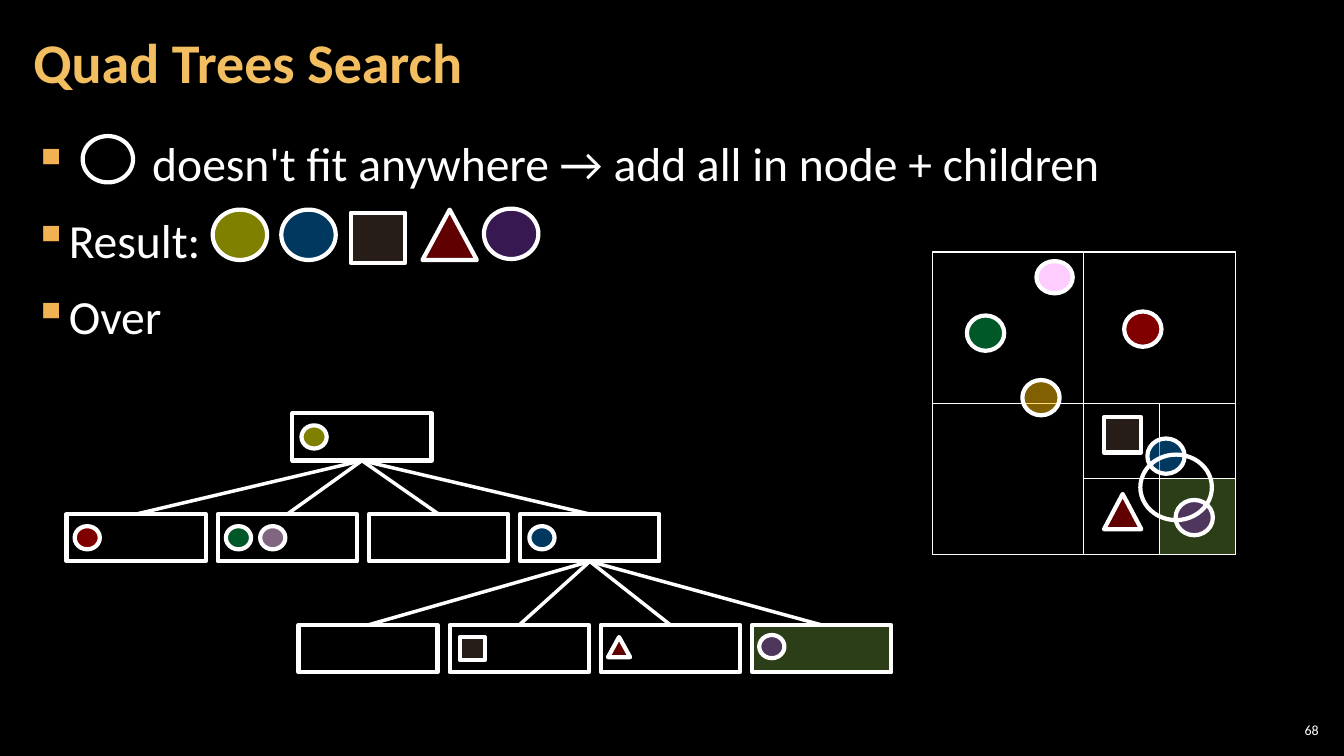
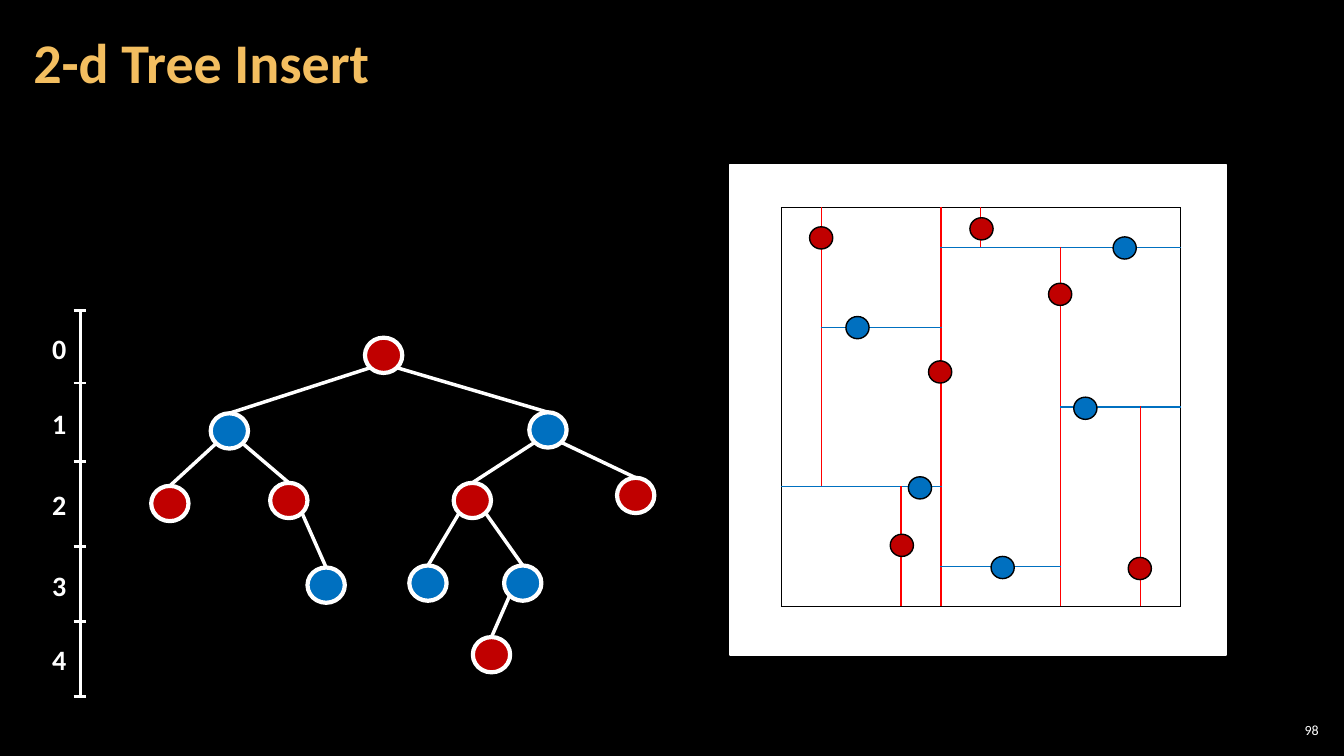
import lxml.etree
import pptx
import pptx.dml.color
import pptx.enum.shapes
import pptx.enum.text
import pptx.oxml.ns
import pptx.util

INK = {
    "black": "000000", "white": "FFFFFF", "title": "F3BE60", "mark": "F2B254",
    "red": "FF0000", "green": "00B050", "yellow": "FFFF00", "blue": "0070C0",
    "gold": "FFC000", "brown": "4E3B30", "wine": "C00000", "plum": "7030A0",
    "pink": "FFCCFF", "leaf": "92D050",
}
FONT = "Calibri"
Inches = pptx.util.Inches
Pt = pptx.util.Pt
KIND = pptx.enum.shapes.MSO_SHAPE
ALIGN = pptx.enum.text.PP_ALIGN
ANCHOR = pptx.enum.text.MSO_ANCHOR
qn = pptx.oxml.ns.qn


def rgb(name):
    return pptx.dml.color.RGBColor.from_string(INK[name])


def sub(node, tag, **attrs):
    return lxml.etree.SubElement(node, qn(tag), attrs)


def paint(fill, node, name, alpha=100):
    if name is None:
        fill.background()
        return
    fill.solid()
    fill.fore_color.rgb = rgb(name)
    if alpha < 100:
        tint = node.find(qn("a:solidFill")).find(qn("a:srgbClr"))
        sub(tint, "a:alpha", val=str(alpha * 1000))


def shape(slide, kind, box, fill=None, alpha=100, line="white", width=3):
    item = slide.shapes.add_shape(kind, *map(Inches, box))
    item.shadow.inherit = False
    paint(item.fill, item._element.spPr, fill, alpha)
    item.line.color.rgb = rgb(line)
    item.line.width = Pt(width)
    return item


def link(slide, start, end, width=2.5):
    item = slide.shapes.add_connector(
        pptx.enum.shapes.MSO_CONNECTOR.STRAIGHT, *map(Inches, start + end))
    item.line.color.rgb = rgb("white")
    item.line.width = Pt(width)
    sub(item._element.spPr, "a:effectLst")
    return item


def write(para, text, size, color="white", bold=False):
    run = para.add_run()
    run.text = text
    run.font.name = FONT
    run.font.size = Pt(size)
    run.font.bold = bold
    run.font.color.rgb = rgb(color)


def pad(frame, side, end):
    frame.margin_left = frame.margin_right = Inches(side)
    frame.margin_top = frame.margin_bottom = Inches(end)


def text_box(slide, box, side=0.1, end=0.05, wrap=True):
    frame = slide.shapes.add_textbox(*map(Inches, box)).text_frame
    frame.word_wrap = wrap
    pad(frame, side, end)
    return frame


def new_slide(deck, title, number):
    slide = deck.slides.add_slide(deck.slide_layouts[5])
    head = slide.shapes.title
    head.left, head.top, head.width, head.height = map(
        Inches, (0.21, 0.04, 10.47, 1.21))
    frame = head.text_frame
    frame.auto_size = pptx.enum.text.MSO_AUTO_SIZE.NONE
    frame.vertical_anchor = ANCHOR.MIDDLE
    pad(frame, 0.12, 0.04)
    para = frame.paragraphs[0]
    para.alignment = ALIGN.LEFT
    para.line_spacing = 0.9
    write(para, title, 40, "title", True)
    foot = text_box(slide, (12.65, 7.14, 0.47, 0.21), 0.04, 0.04)
    foot.vertical_anchor = ANCHOR.MIDDLE
    foot.paragraphs[0].alignment = ALIGN.RIGHT
    write(foot.paragraphs[0], number, 10)
    return slide


def bullets(slide, lines):
    frame = text_box(slide, (0.21, 1.26, 12.91, 6.09), 0.12, 0.04)
    for i, (text, indent) in enumerate(lines):
        para = frame.add_paragraph() if i else frame.paragraphs[0]
        para.line_spacing = 1.05
        para.space_before = para.space_after = Pt(6)
        props = para._p.get_or_add_pPr()
        props.set("marL", str(Inches(indent)))
        props.set("indent", str(-Inches(indent)))
        sub(sub(props, "a:buClr"), "a:srgbClr", val=INK["mark"])
        sub(props, "a:buChar", char="▪")
        write(para, text, 34)


def grid(slide, left, top, cols, rows):
    frame = slide.shapes.add_table(
        len(rows), len(cols), Inches(left), Inches(top),
        Inches(sum(cols)), Inches(sum(rows)))
    table = frame.table
    table.first_row = table.horz_banding = False
    for part, sizes in ((table.columns, cols), (table.rows, rows)):
        for item, size in zip(part, sizes):
            if part is table.columns:
                item.width = Inches(size)
            else:
                item.height = Inches(size)
    for cell in table.iter_cells():
        pad(cell, 0, 0)
    return table


def edge(cell, inks):
    props = cell._tc.get_or_add_tcPr()
    for side in "LRTB":
        line = sub(props, "a:ln" + side, w=str(Pt(1)))
        if side in inks:
            sub(sub(line, "a:solidFill"), "a:srgbClr", val=INK[inks[side]])
        else:
            sub(line, "a:noFill")
    cell.fill.background()


def quad_table(slide):
    sizes = (1.5, 0.75, 0.75)
    table = grid(slide, 9.25, 2.5, sizes, sizes)
    for cell in table.iter_cells():
        edge(cell, dict.fromkeys("LRTB", "white"))
    table.cell(0, 1).merge(table.cell(0, 2))
    table.cell(1, 0).merge(table.cell(2, 0))
    last = table.cell(2, 2)
    paint(last.fill, last._tc.tcPr, "leaf", 30)


def split_table(slide):
    count = 10
    sizes = [0.396] * count
    table = grid(slide, 7.75, 2.06, sizes, sizes)
    inks = {(r, c): {} for r in range(count) for c in range(count)}
    cuts = [
        ("x", 1, 0, 7), ("x", 3, 7, 10), ("x", 4, 0, 10),
        ("x", 5, 0, 1), ("x", 7, 1, 10), ("x", 9, 5, 10),
        ("y", 1, 4, 10), ("y", 3, 1, 4), ("y", 5, 7, 10),
        ("y", 7, 0, 4), ("y", 9, 4, 7),
    ]
    cuts += [(axis, at, 0, count) for axis in "xy" for at in (0, count)]
    for axis, at, start, stop in cuts:
        ink = "red" if axis == "x" else "blue"
        if at in (0, count):
            ink = "black"
        for k in range(start, stop):
            for near, side in ((at - 1, "RB"), (at, "LT")):
                spot = (k, near) if axis == "x" else (near, k)
                if spot in inks:
                    inks[spot][side[axis == "y"]] = ink
    for spot, sides in inks.items():
        edge(table.cell(*spot), sides)


def quad_slide(deck):
    slide = new_slide(deck, "Quad Trees Search", "68")
    bullets(slide, [
        ("doesn't fit anywhere → add all in node + children", 1.18),
        ("Result:", 0.33), ("Over", 0.33)])

    def branch(root, left, top, last=None):
        kids = []
        for i in range(4):
            fill = last if i == 3 else None
            kid = shape(slide, KIND.RECTANGLE,
                        (left + 1.5 * i, top, 1.38, 0.47), fill, 30)
            line = link(slide, (0, 0), (1, 1))
            line.begin_connect(kid, 0)
            line.end_connect(root, 2)
            kids.append(kid)
        return kids

    root = shape(slide, KIND.RECTANGLE, (2.9, 4.1, 1.38, 0.47))
    kids = branch(root, 0.66, 5.1)
    branch(kids[3], 2.96, 6.2, "leaf")
    quad_table(slide)

    dot, box, tri = KIND.OVAL, KIND.RECTANGLE, KIND.ISOSCELES_TRIANGLE
    small, mid, big = (0.25, 0.23), (0.37, 0.35), (0.54, 0.5)
    marks = [
        (small, [
            (dot, 0.74, 5.22, "red"), (dot, 2.24, 5.22, "green"),
            (dot, 2.58, 5.22, "pink"), (dot, 2.99, 4.22, "yellow"),
            (dot, 5.25, 5.22, "blue"), (dot, 7.53, 6.3, "plum"),
            (box, 4.56, 6.32, "brown")]),
        ((0.22, 0.2), [(tri, 6.03, 6.32, "wine")]),
        (mid, [
            (dot, 9.59, 3.13, "green"), (dot, 11.15, 3.09, "red"),
            (dot, 11.38, 4.35, "blue"), (dot, 10.14, 3.77, "gold"),
            (box, 10.95, 4.14, "brown"), (tri, 10.95, 4.9, "wine"),
            (dot, 11.66, 4.96, "plum")]),
        (big, [
            (dot, 2.11, 2.08, "yellow"), (dot, 2.79, 2.08, "blue"),
            (box, 3.48, 2.11, "brown"), (tri, 4.19, 2.08, "wine"),
            (dot, 4.8, 2.07, "plum")]),
    ]
    for size, items in marks:
        for kind, left, top, fill in items:
            shape(slide, kind, (left, top) + size, fill, 50)
    shape(slide, dot, (10.28, 2.59, 0.36, 0.32), "pink")
    for ring in ((0.82, 1.35, 0.5, 0.46), (11.31, 4.51, 0.71, 0.65)):
        shape(slide, dot, ring)


def tree(slide):
    wide, high = 0.37, 0.35
    spots = [
        (3.62, 3.35, "wine"), (2.09, 4.1, "blue"), (5.25, 4.09, "blue"),
        (1.5, 4.82, "wine"), (2.68, 4.79, "wine"), (4.5, 4.79, "wine"),
        (6.12, 4.74, "wine"), (3.05, 5.63, "blue"), (4.06, 5.61, "blue"),
        (5, 5.61, "blue"), (4.69, 6.32, "wine")]
    nodes = [shape(slide, KIND.OVAL, (x, y, wide, high), ink)
             for x, y, ink in spots]
    pairs = [(0, 1), (0, 2), (1, 3), (1, 4), (2, 5), (2, 6),
             (4, 7), (5, 8), (5, 9), (9, 10)]
    for top, low in pairs:
        x, y, _ = spots[top]
        share = 0.15 if spots[low][0] < x else 0.85
        start = (x + wide * share, y + high * 0.85)
        line = link(slide, start, spots[low][:2])
        line.end_connect(nodes[low], 0)


def scale(slide):
    ticks = (3.08, 3.8, 4.58, 5.42, 6.17, 6.91)
    link(slide, (0.8, ticks[0]), (0.8, ticks[-1]), 2)
    for y in ticks:
        link(slide, (0.73, y), (0.85, y), 2)
    for i, y in enumerate((3.24, 3.98, 4.79, 5.59, 6.33)):
        frame = text_box(slide, (0.42, y, 0.34, 0.44), wrap=False)
        write(frame.paragraphs[0], str(i), 20, bold=True)


def insert_slide(deck):
    slide = new_slide(deck, "2-d Tree Insert", "98")
    shape(slide, KIND.RECTANGLE, (7.24, 1.63, 4.92, 4.87), "white", width=1)
    tree(slide)
    split_table(slide)
    points = {
        "wine": [(9.21, 3.58), (8.03, 2.25), (8.83, 5.3), (10.4, 2.81),
                 (11.19, 5.53), (9.62, 2.16)],
        "blue": [(9.01, 4.73), (8.39, 3.14), (10.65, 3.94), (11.04, 2.35),
                 (9.83, 5.52)],
    }
    for ink, spots in points.items():
        for x, y in spots:
            shape(slide, KIND.OVAL, (x, y, 0.23, 0.22), ink,
                  line="black", width=1)
    scale(slide)


def main():
    deck = pptx.Presentation()
    deck.slide_width, deck.slide_height = Inches(13.33), Inches(7.5)
    back = deck.slide_master.background.fill
    back.solid()
    back.fore_color.rgb = rgb("black")
    quad_slide(deck)
    insert_slide(deck)
    deck.save("out.pptx")


if __name__ == "__main__":
    main()
